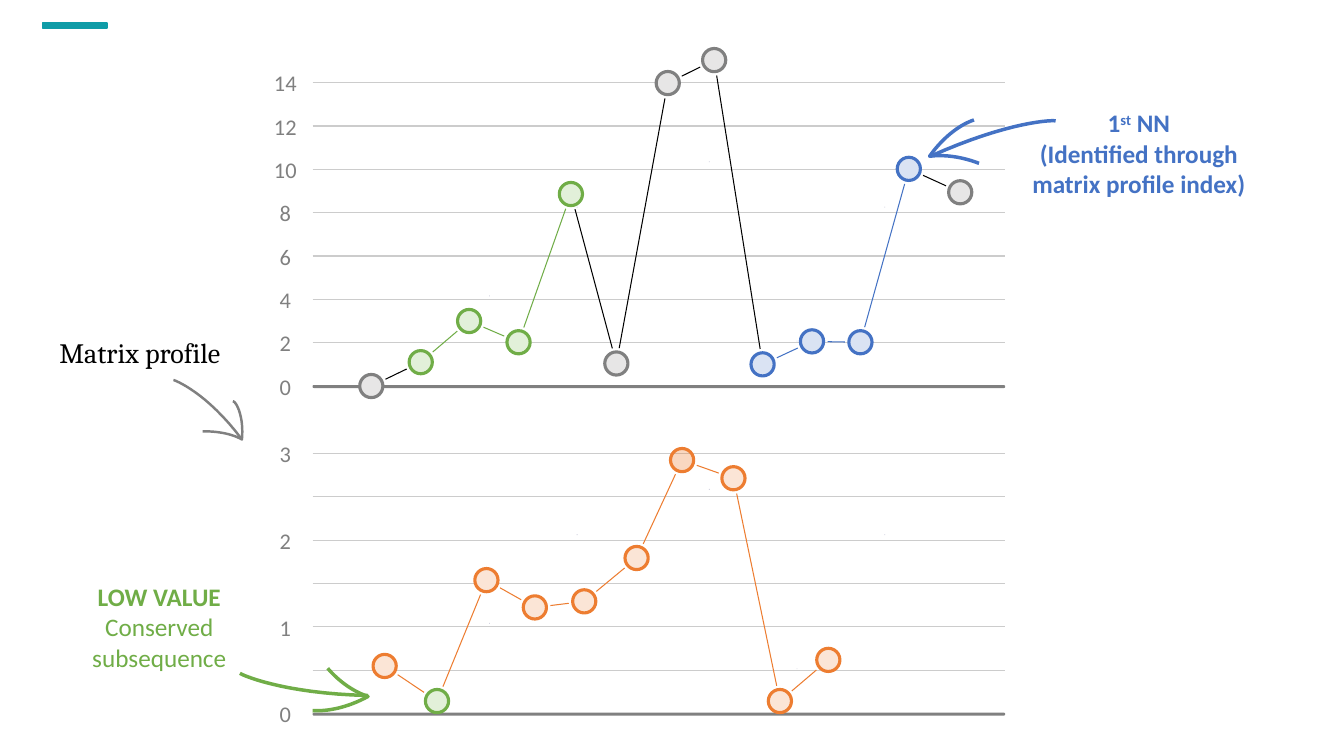
from math import hypot

from lxml import etree
from pptx import Presentation
from pptx.dml.color import RGBColor
from pptx.enum.shapes import MSO_CONNECTOR, MSO_SHAPE
from pptx.enum.text import MSO_AUTO_SIZE, PP_ALIGN
from pptx.oxml.ns import qn
from pptx.util import Inches, Pt

STRAIGHT = MSO_CONNECTOR.STRAIGHT
RECT, ROUNDED, OVAL = MSO_SHAPE.RECTANGLE, MSO_SHAPE.ROUNDED_RECTANGLE, MSO_SHAPE.OVAL
LEFT, CENTER = PP_ALIGN.LEFT, PP_ALIGN.CENTER
FIT_SHAPE = MSO_AUTO_SIZE.SHAPE_TO_FIT_TEXT

COLORS = {
    "teal": "0F9CA7", "grid": "CCCCCC", "gray": "808080", "speck": "D5D5E2",
    "black": "000000", "green": "70AD47", "blue": "4472C4", "orange": "ED7D31",
    "pale_gray": "E7E6E6", "pale_green": "E2F0D9", "pale_blue": "DAE3F3",
    "pale_orange": "FBE5D6",
}

# Plot grid in inches: left and right edge, column and row pitch
PLOT_LEFT, PLOT_RIGHT = 3.1, 9.97
COLUMN, ROW = 0.49, 0.43
DOT, LINK_GAP = 0.23, 0.155
SERIES_BASE, PROFILE_BASE = 3.83, 7.08

# Points: column, row above the base line, colour
SERIES_POINTS = [
    (1.19, 0, "gray"), (2.19, 0.55, "green"), (3.17, 1.5, "green"),
    (4.17, 1.01, "green"), (5.23, 4.43, "green"), (6.15, 0.52, "gray"),
    (7.19, 6.99, "gray"), (8.13, 7.52, "gray"), (9.11, 0.5, "blue"),
    (10.11, 1.03, "blue"), (11.09, 1.01, "blue"), (12.07, 5.01, "blue"),
    (13.11, 4.47, "gray"),
]
PROFILE_POINTS = [
    (1.46, 1.1, "orange"), (2.52, 0.29, "green"), (3.52, 3.08, "orange"),
    (4.5, 2.45, "orange"), (5.5, 2.59, "orange"), (6.56, 3.59, "orange"),
    (7.48, 5.85, "peak"), (8.52, 5.43, "orange"), (9.46, 0.29, "orange"),
    (10.44, 1.24, "orange"),
]
# Specks: left edge and height above the base line
SPECKS = [(8.77, 1.78), (7.9, 0.45), (7.03, 2.23), (5.72, 1.78), (4.85, 0.9)]

# Hand-drawn arrows: start point, then cubic curves (two controls and an end)
ARROWS = [
    ("green", 2.5, [
        [(2.38, 6.68), (2.39, 6.69), (2.79, 6.88), (3.65, 6.9)],
        [(3.25, 6.63), (3.26, 6.64), (3.41, 6.83), (3.65, 6.91),
         (3.45, 7.02), (3.25, 7.06), (3.1, 7.05)]]),
    ("gray", 1.75, [
        [(1.72, 3.77), (1.73, 3.77), (2.05, 3.89), (2.4, 4.36)],
        [(2.01, 4.28), (2.02, 4.28), (2.24, 4.27), (2.4, 4.36),
         (2.42, 4.14), (2.35, 3.99), (2.31, 3.98)]]),
    ("blue", 2.5, [
        [(10.47, 1.2), (10.45, 1.19), (10.01, 1.2), (9.23, 1.55)],
        [(9.71, 1.62), (9.7, 1.62), (9.48, 1.52), (9.22, 1.55),
         (9.37, 1.34), (9.54, 1.23), (9.66, 1.19)]]),
]


def rgb(name):
    return RGBColor.from_string(COLORS[name])


def add_block(slide, kind, box, fill, line=None, width=1):
    block = slide.shapes.add_shape(kind, *map(Inches, box))
    block.shadow.inherit = False
    block.fill.solid()
    block.fill.fore_color.rgb = rgb(fill)
    if line:
        block.line.color.rgb = rgb(line)
        block.line.width = Pt(width)
    else:
        block.line.fill.background()
    return block


def add_line(slide, start, end, color):
    line = slide.shapes.add_connector(STRAIGHT, *map(Inches, (*start, *end)))
    line.line.color.rgb = rgb(color)
    line.line.width = Pt(0.75)
    etree.SubElement(line._element.spPr, qn("a:effectLst"))


def add_text(slide, box, paragraphs, align=CENTER, wrap=True, **base):
    """Each paragraph is a list of (text, format values) runs."""
    frame = slide.shapes.add_textbox(*map(Inches, box)).text_frame
    frame.word_wrap = wrap
    frame.auto_size = FIT_SHAPE
    color = base.pop("color")
    for i, runs in enumerate(paragraphs):
        paragraph = frame.paragraphs[0] if i == 0 else frame.add_paragraph()
        paragraph.alignment = align
        for text, extra in runs:
            run = paragraph.add_run()
            run.text = text
            run.font.color.rgb = rgb(color)
            for key, value in {**base, **extra}.items():
                setattr(run.font, key, value)
    return frame


def add_axes(slide, base, rows, labels):
    """Grid lines, base line and value labels given as {row: text}."""
    for row in range(1, rows + 1):
        y = base - row * ROW
        add_line(slide, (PLOT_LEFT, y), (PLOT_RIGHT, y), "grid")
    axis = add_block(slide, ROUNDED, (PLOT_LEFT, base - 0.01, PLOT_RIGHT - PLOT_LEFT, 0.03), "gray")
    axis.adjustments[0] = 0.5
    for row, text in labels.items():
        width = 0.32 if len(text) == 1 else 0.43
        box = (2.83 - width / 2, base - row * ROW - 0.18, width, 0.37)
        add_text(slide, box, [[(text, {})]], wrap=False,
                 size=Pt(16), name="Calibri", color="gray")
    for x, height in SPECKS:
        add_block(slide, RECT, (x, base - height, 0.01, 0.01), "speck")


def add_link(slide, start, end, color):
    dx, dy = end[0] - start[0], end[1] - start[1]
    share = LINK_GAP / hypot(dx, dy)
    add_line(slide, (start[0] + dx * share, start[1] + dy * share),
             (end[0] - dx * share, end[1] - dy * share), color)


def add_dot(slide, center, color):
    box = (center[0] - DOT / 2, center[1] - DOT / 2, DOT, DOT)
    if color != "peak":
        add_block(slide, OVAL, box, "pale_" + color, color, 2.25)
        return
    dot = add_block(slide, OVAL, box, "orange", "orange", 2.25)
    fill = dot._element.spPr.find(qn("a:solidFill"))
    etree.SubElement(fill[0], qn("a:alpha"), val="30000")


def add_series(slide, base, points, link_color=None):
    """Links take link_color, or the colour that both of their ends share."""
    centers = [(PLOT_LEFT + c * COLUMN, base - r * ROW) for c, r, _ in points]
    kinds = [kind for _, _, kind in points]
    for i in range(len(points) - 1):
        shared = kinds[i] == kinds[i + 1] != "gray"
        color = link_color or (kinds[i] if shared else "black")
        add_link(slide, centers[i], centers[i + 1], color)
    for center, kind in zip(centers, kinds):
        add_dot(slide, center, kind)


def curve_points(nodes, steps=16):
    points = [nodes[0]]
    for i in range(0, len(nodes) - 1, 3):
        for step in range(1, steps + 1):
            t = step / steps
            weights = ((1 - t) ** 3, 3 * t * (1 - t) ** 2, 3 * t * t * (1 - t), t ** 3)
            points.append(tuple(sum(w * node[axis] for w, node in zip(weights, nodes[i:i + 4]))
                                for axis in (0, 1)))
    return [(Inches(x), Inches(y)) for x, y in points]


def add_stroke(slide, nodes, color, width):
    points = curve_points(nodes)
    builder = slide.shapes.build_freeform(*points[0])
    builder.add_line_segments(points[1:], close=False)
    stroke = builder.convert_to_shape()
    stroke.shadow.inherit = False
    stroke.fill.background()
    stroke.line.color.rgb = rgb(color)
    stroke.line.width = Pt(width)


def main():
    prs = Presentation()
    prs.slide_width, prs.slide_height = Inches(13.33), Inches(7.5)
    slide = prs.slides.add_slide(prs.slide_layouts[6])
    add_block(slide, RECT, (0.42, 0.23, 0.64, 0.05), "teal", "teal")

    # Time series above, matrix profile below
    add_axes(slide, SERIES_BASE, 7, {row: str(2 * row) for row in range(8)})
    add_series(slide, SERIES_BASE, SERIES_POINTS)
    add_axes(slide, PROFILE_BASE, 6, {2 * value: str(value) for value in range(4)})
    add_series(slide, PROFILE_BASE, PROFILE_POINTS, "orange")

    # Callouts and their arrows
    for color, width, strokes in ARROWS:
        for nodes in strokes:
            add_stroke(slide, nodes, color, width)
    add_text(slide, (0.49, 3.28, 1.8, 0.44), [[("Matrix profile", {})]], LEFT,
             size=Pt(20), name="Cambria", color="black")
    neighbour = add_text(
        slide, (10.12, 1.02, 2.35, 1.01),
        [[("1", {}), ("st", {}), (" NN", {})],
         [("(Identified through matrix profile index)", {})]],
        size=Pt(18), name="Calibri", bold=True, color="blue")
    neighbour.paragraphs[0].runs[1].font._element.set("baseline", "30000")
    add_text(slide, (0.75, 5.72, 1.66, 1.01),
             [[("LOW VALUE", {"bold": True})], [("Conserved subsequence", {})]],
             size=Pt(18), name="Calibri", color="green")

    prs.save("out.pptx")


if __name__ == "__main__":
    main()
